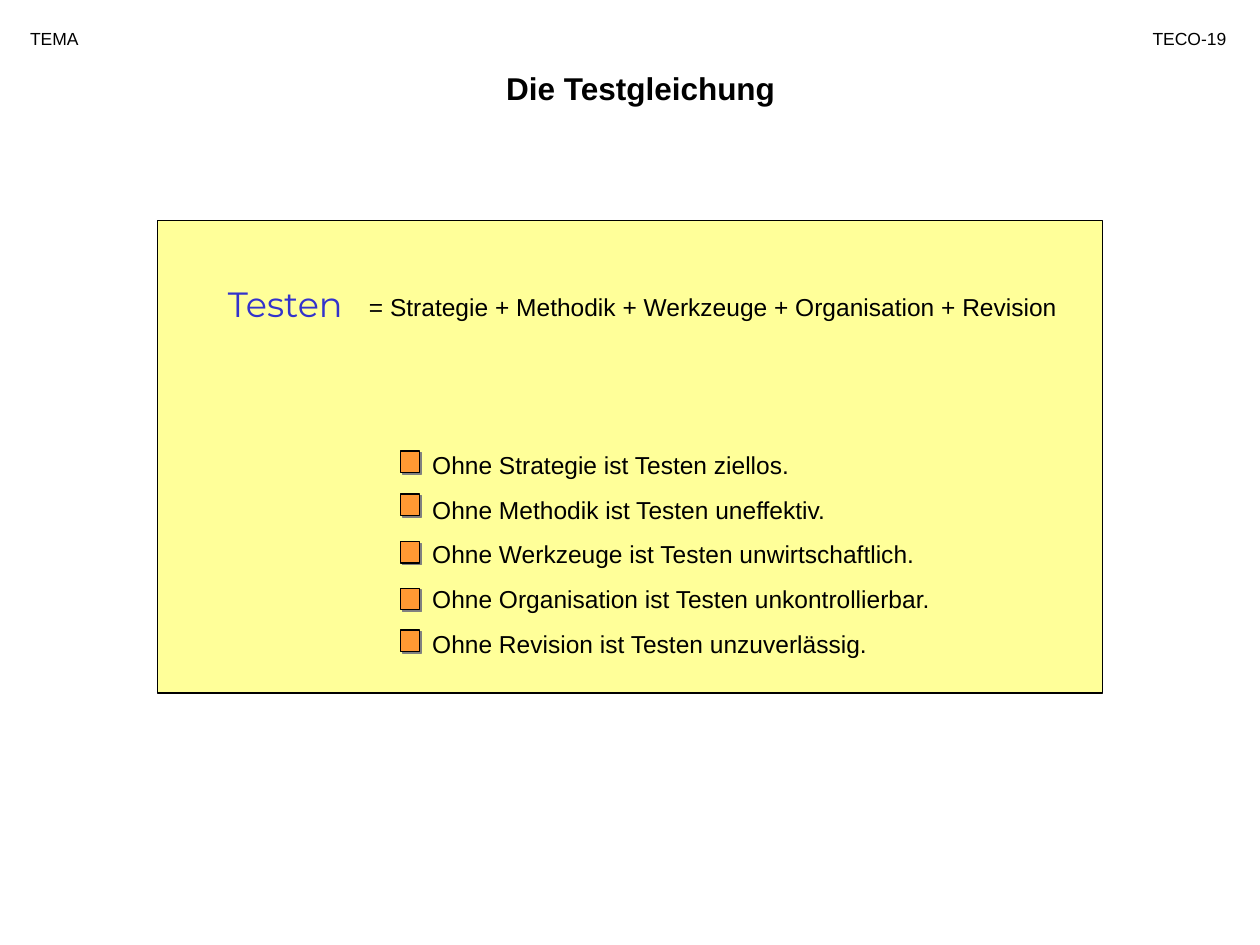
from lxml import etree
from pptx import Presentation
from pptx.dml.color import RGBColor
from pptx.enum.shapes import MSO_SHAPE as Shape
from pptx.enum.text import MSO_ANCHOR as Anchor, MSO_AUTO_SIZE as AutoSize, PP_ALIGN as Align
from pptx.oxml.ns import qn
from pptx.util import Inches, Pt

COLORS = {"text": "000000", "panel": "FFFF99", "marker": "FF9933",
          "shadow": "808080", "word_fill": "B2B2B2", "word_line": "3333CC"}


def add_box(left, top, width, height, color):
    box = slide.shapes.add_shape(Shape.RECTANGLE, Inches(left), Inches(top),
                                 Inches(width), Inches(height))
    box.fill.solid()
    box.fill.fore_color.rgb = RGBColor.from_string(COLORS[color])
    box.line.color.rgb = RGBColor.from_string(COLORS["text"])
    box.line.width = Pt(0.75)
    box.shadow.inherit = False
    return box


def write(holder, place, lines, size, align=Align.LEFT, bold=False):
    """Place a text holder and fill it with one paragraph per line."""
    holder.left, holder.top, holder.width, holder.height = map(Inches, place)
    frame = holder.text_frame
    frame.word_wrap = True
    frame.auto_size = AutoSize.SHAPE_TO_FIT_TEXT
    frame.vertical_anchor = Anchor.TOP
    for i, line in enumerate(lines):
        paragraph = frame.add_paragraph() if i else frame.paragraphs[0]
        paragraph.alignment = align
        paragraph.space_before = Pt(8.8 if i else 0)
        properties = paragraph._p.get_or_add_pPr()
        properties.set("marL", "0")
        properties.set("indent", "0")
        etree.SubElement(properties, qn("a:buNone"))
        run = paragraph.add_run()
        run.text = line
        run.font.name = "Arial"
        run.font.size = Pt(size)
        run.font.bold = bold
        run.font.color.rgb = RGBColor.from_string(COLORS["text"])


prs = Presentation()
prs.slide_width, prs.slide_height = Inches(10), Inches(7.5)
slide = prs.slides.add_slide(prs.slide_layouts[1])
title, reasons = slide.placeholders

# Yellow panel, sent behind the placeholders
panel = add_box(1.25, 1.75, 7.5, 3.75, "panel")
slide.shapes._spTree.insert(2, panel._element)

# Title, header labels and equation
write(title, (1.42, 0.5, 7.33, 0.4), ["Die Testgleichung"], 18, Align.CENTER, True)
for place, label, size, align in [
    ((0.14, 0.17, 1.12, 0.27), "TEMA", 10, Align.LEFT),
    ((8.81, 0.17, 1.02, 0.27), "TECO-19", 10, Align.RIGHT),
    ((2.83, 2.27, 5.83, 0.34),
     "= Strategie + Methodik + Werkzeuge + Organisation + Revision", 14, Align.LEFT),
]:
    write(slide.shapes.add_textbox(0, 0, 0, 0), place, [label], size, align)

# Outlined word on the left of the equation
testing = slide.shapes.add_textbox(Inches(1.71), Inches(2.19), Inches(1.2), Inches(0.38))
testing.text_frame.word_wrap = True
word = testing.text_frame.paragraphs[0].add_run()
word.text = "Testen"
word.font.name = "Montserrat"
word.font.size = Pt(20)
word.font.color.rgb = RGBColor.from_string(COLORS["word_fill"])
word_properties = word._r.get_or_add_rPr()
fill_color = word_properties.find(".//" + qn("a:srgbClr"))
etree.SubElement(fill_color, qn("a:alpha"), val="50000")
outline = etree.Element(qn("a:ln"), w=str(Pt(1)))
outline_fill = etree.SubElement(outline, qn("a:solidFill"))
etree.SubElement(outline_fill, qn("a:srgbClr"), val=COLORS["word_line"])
word_properties.insert(0, outline)

# Reasons
write(reasons, (3.33, 3.52, 4.33, 1.76), [
    "Ohne Strategie ist Testen ziellos.",
    "Ohne Methodik ist Testen uneffektiv.",
    "Ohne Werkzeuge ist Testen unwirtschaftlich.",
    "Ohne Organisation ist Testen unkontrollierbar.",
    "Ohne Revision ist Testen unzuverlässig.",
], 14)

# Square markers with a hard shadow
for top in (3.58, 3.92, 4.3, 4.67, 5):
    marker = add_box(3.18, top, 0.15, 0.17, "marker")
    effects = marker._element.spPr.find(qn("a:effectLst"))
    shadow = etree.SubElement(effects, qn("a:outerShdw"), dist=str(Pt(1.4)),
                              dir=str(45 * 60000), algn="ctr", rotWithShape="0")
    etree.SubElement(shadow, qn("a:srgbClr"), val=COLORS["shadow"])

prs.save("out.pptx")
